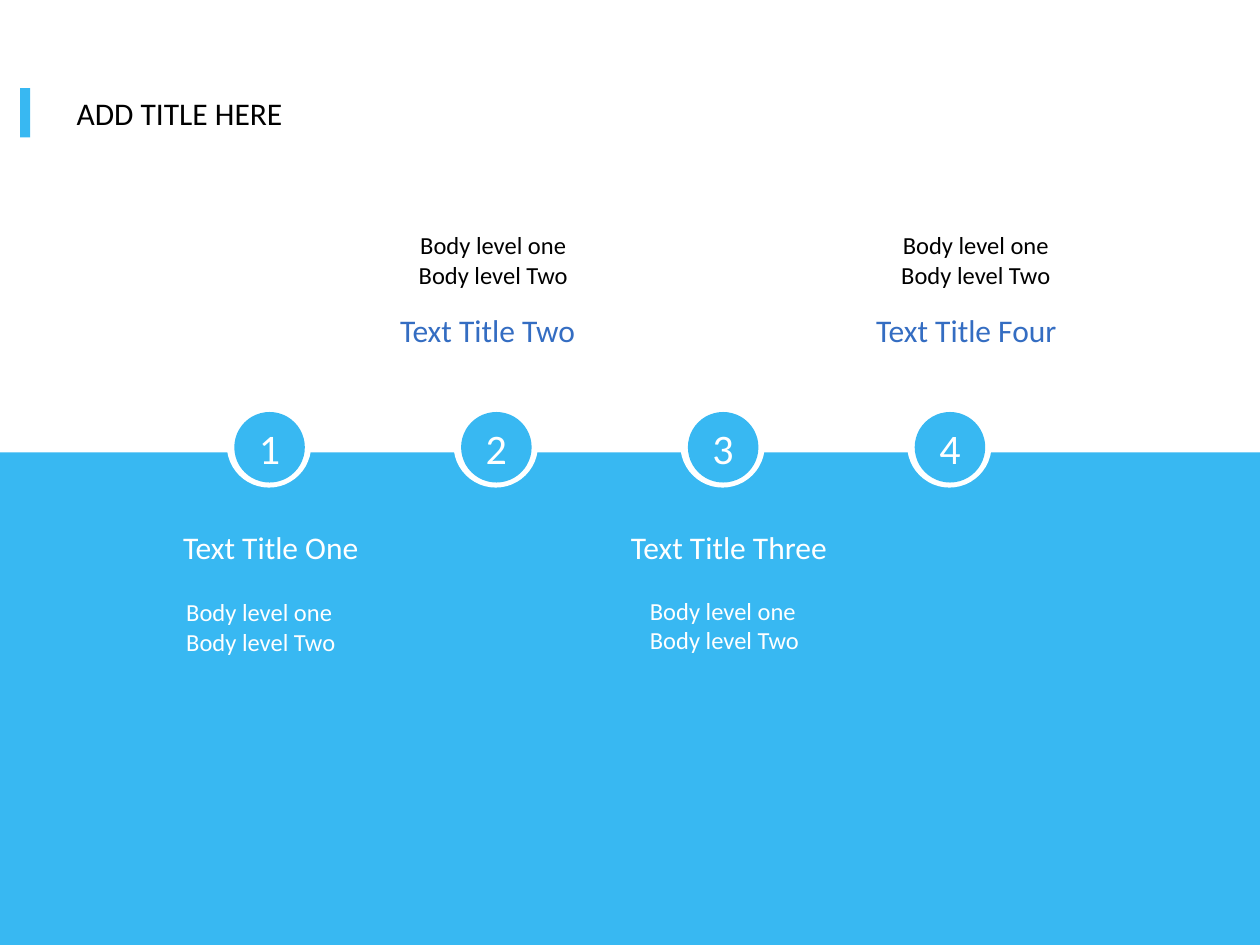
from pptx import Presentation
from pptx.dml.color import RGBColor
from pptx.enum.shapes import MSO_SHAPE
from pptx.enum.text import MSO_ANCHOR, MSO_AUTO_SIZE, PP_ALIGN
from pptx.util import Inches, Pt

RECTANGLE, OVAL = MSO_SHAPE.RECTANGLE, MSO_SHAPE.OVAL
LEFT, CENTER = PP_ALIGN.LEFT, PP_ALIGN.CENTER
MIDDLE = MSO_ANCHOR.MIDDLE
FIT_SHAPE = MSO_AUTO_SIZE.SHAPE_TO_FIT_TEXT

SKY = RGBColor(0x38, 0xB8, 0xF2)
BLUE = RGBColor(0x34, 0x6D, 0xC2)
WHITE = RGBColor(0xFF, 0xFF, 0xFF)
BLACK = RGBColor(0x00, 0x00, 0x00)

presentation = Presentation()
presentation.slide_width = Inches(10)
presentation.slide_height = Inches(7.5)
slide = presentation.slides.add_slide(presentation.slide_layouts[6])


def add_filled_shape(kind, left, top, width, height, color):
    shape = slide.shapes.add_shape(
        kind, Inches(left), Inches(top), Inches(width), Inches(height))
    shape.shadow.inherit = False
    shape.fill.solid()
    shape.fill.fore_color.rgb = color
    shape.line.fill.background()
    return shape


def write_lines(shape, lines, size, color, alignment):
    """Put each line in its own paragraph of the shape."""
    frame = shape.text_frame
    frame.word_wrap = True
    for index, line in enumerate(lines):
        paragraph = frame.add_paragraph() if index else frame.paragraphs[0]
        paragraph.alignment = alignment
        run = paragraph.add_run()
        run.text = line
        run.font.name = "Calibri"
        run.font.size = Pt(size)
        run.font.color.rgb = color


# Lower band and title marker
add_filled_shape(RECTANGLE, 0, 3.59, 10, 3.91, SKY)
add_filled_shape(RECTANGLE, 0.16, 0.7, 0.08, 0.39, SKY)

# Numbered circles along the edge of the band
RING, DISC, PITCH = 0.67, 0.56, 1.8
for index in range(4):
    left = 1.8 + index * PITCH
    add_filled_shape(OVAL, left, 3.2, RING, RING, WHITE)
    disc = add_filled_shape(OVAL, left + 0.06, 3.27, DISC, DISC, SKY)
    disc.text_frame.vertical_anchor = MIDDLE
    write_lines(disc, [str(index + 1)], 24, WHITE, CENTER)

# Texts: left, top, width, height, lines, size, color, alignment
BODY = ["Body level one", "Body level Two"]
texts = [
    (0.51, 0.7, 2.2, 0.4, ["ADD TITLE HERE"], 18, BLACK, LEFT),
    (1.33, 4.14, 1.64, 0.4, ["Text Title One"], 18, WHITE, CENTER),
    (3.05, 2.42, 1.64, 0.4, ["Text Title Two"], 18, BLUE, CENTER),
    (4.84, 4.14, 1.89, 0.4, ["Text Title Three"], 18, WHITE, CENTER),
    (6.72, 2.42, 1.9, 0.4, ["Text Title Four"], 18, BLUE, CENTER),
    (1.38, 4.69, 1.87, 0.57, BODY, 14, WHITE, LEFT),
    (2.98, 1.78, 1.87, 0.57, BODY, 14, BLACK, CENTER),
    (5.06, 4.68, 1.87, 0.57, BODY, 14, WHITE, LEFT),
    (6.81, 1.78, 1.87, 0.57, BODY, 14, BLACK, CENTER),
]
for left, top, width, height, lines, size, color, alignment in texts:
    box = slide.shapes.add_textbox(
        Inches(left), Inches(top), Inches(width), Inches(height))
    box.text_frame.auto_size = FIT_SHAPE
    write_lines(box, lines, size, color, alignment)

presentation.save("out.pptx")
